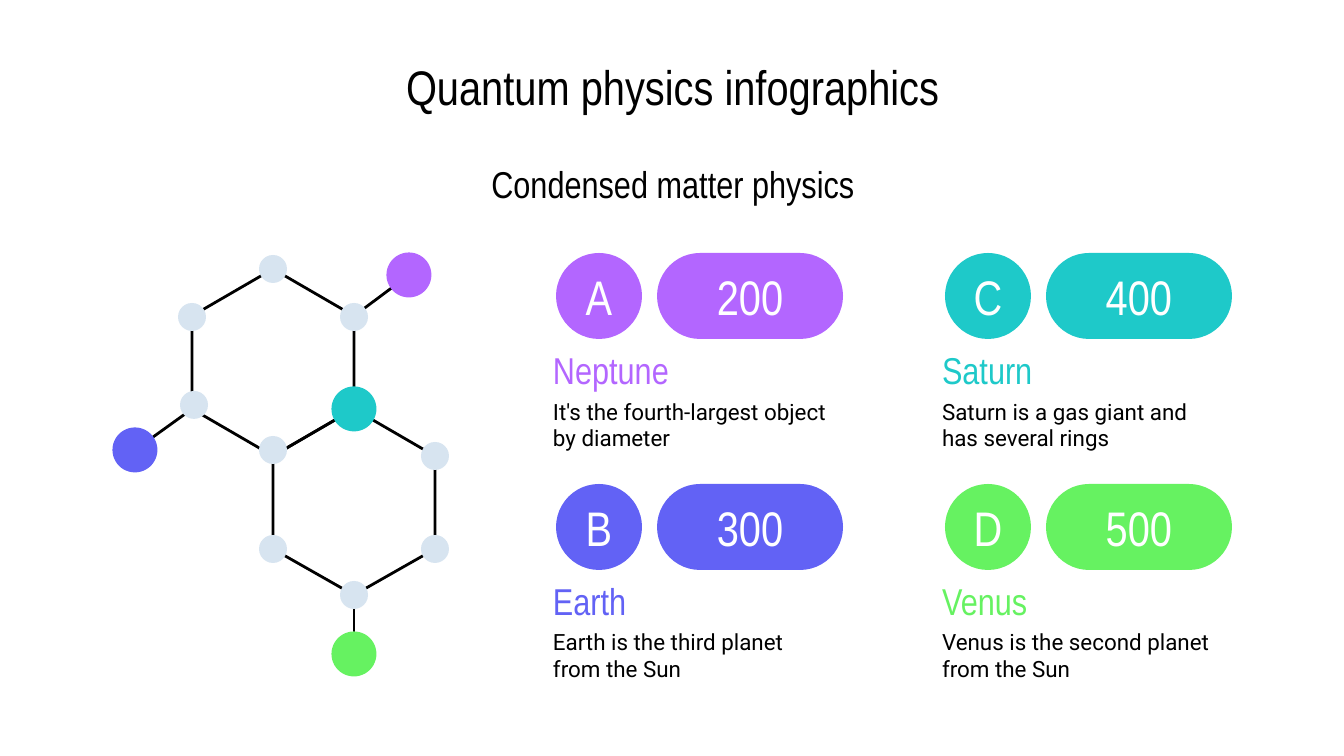
from dataclasses import dataclass

from pptx import Presentation
from pptx.dml.color import RGBColor
from pptx.enum.shapes import MSO_SHAPE
from pptx.enum.text import MSO_ANCHOR, MSO_AUTO_SIZE, PP_ALIGN
from pptx.util import Emu, Pt

PX = 914400 / 134.4


@dataclass(frozen=True)
class Theme:
    black: str = "000000"
    white: str = "FFFFFF"
    pale: str = "D7E4F0"
    purple: str = "B366FF"
    blue: str = "6262F5"
    teal: str = "1EC9C9"
    green: str = "66F261"
    heading_font: str = "Arial Narrow"
    body_font: str = "Roboto"
    title_size: int = 26
    heading_size: int = 20
    body_size: int = 12


THEME = Theme()


def write_text(shape, text, *, size=THEME.title_size, color=THEME.black,
               font=THEME.heading_font, align=PP_ALIGN.CENTER):
    frame = shape.text_frame
    frame.word_wrap = True
    frame.auto_size = MSO_AUTO_SIZE.NONE
    frame.vertical_anchor = MSO_ANCHOR.MIDDLE
    frame.margin_left = frame.margin_right = Emu(round(13 * PX))
    frame.margin_top = frame.margin_bottom = Emu(round(13 * PX))
    paragraph = frame.paragraphs[0]
    paragraph.alignment = align
    run = paragraph.add_run()
    run.text = text
    run.font.name = font
    run.font.size = Pt(size)
    run.font.color.rgb = RGBColor.from_string(color)


def add_filled(kind, left, top, width, height, color):
    shape = slide.shapes.add_shape(
        kind, *(Emu(round(value * PX)) for value in (left, top, width, height)))
    shape.shadow.inherit = False
    shape.fill.solid()
    shape.fill.fore_color.rgb = RGBColor.from_string(color)
    shape.line.fill.background()
    return shape


presentation = Presentation()
presentation.slide_width = Emu(round(1344 * PX))
presentation.slide_height = Emu(round(756 * PX))
slide = presentation.slides.add_slide(presentation.slide_layouts[5])

# Headings
title = slide.shapes.title
title.left, title.top, title.width, title.height = (
    Emu(round(value * PX)) for value in (296, 44, 754, 85))
write_text(title, "Quantum physics infographics")
subtitle = slide.shapes.add_textbox(
    *(Emu(round(value * PX)) for value in (296, 159, 754, 50)))
write_text(subtitle, "Condensed matter physics", size=THEME.heading_size)

# Molecule: two hexagonal rings and three side bonds
upper_ring = [(192, 316), (273, 269), (354, 316), (354, 409), (273, 456), (192, 409)]
lower_ring = [(273, 456), (354, 409), (435, 456), (435, 549), (354, 595), (273, 549)]
side_bonds = [
    [(354, 316), (409, 275)],
    [(192, 409), (135, 450)],
    [(354, 595), (354, 649)],
]
for points in [upper_ring, lower_ring, *side_bonds]:
    builder = slide.shapes.build_freeform(*points[0], scale=PX)
    builder.add_line_segments(points[1:], close=len(points) > 2)
    bonds = builder.convert_to_shape()
    bonds.shadow.inherit = False
    bonds.fill.background()
    bonds.line.color.rgb = RGBColor.from_string(THEME.black)
    bonds.line.width = Pt(1.5)

small_atoms = [
    (273, 269), (354, 317), (192, 317), (194, 405), (354, 595),
    (273, 549), (273, 450), (435, 549), (435, 456),
]
large_atoms = [
    (354, 409, THEME.teal), (409, 275, THEME.purple),
    (135, 450, THEME.blue), (354, 654, THEME.green),
]
atoms = [(x, y, 28, THEME.pale) for x, y in small_atoms]
atoms += [(x, y, 45, color) for x, y, color in large_atoms]
for x, y, diameter, color in atoms:
    add_filled(MSO_SHAPE.OVAL, x - diameter / 2, y - diameter / 2,
               diameter, diameter, color)

# Cards: filled column by column
cards = [
    ("A", "200", "Neptune", "It's the fourth-largest object by diameter", THEME.purple),
    ("B", "300", "Earth", "Earth is the third planet from the Sun", THEME.blue),
    ("C", "400", "Saturn", "Saturn is a gas giant and has several rings", THEME.teal),
    ("D", "500", "Venus", "Venus is the second planet from the Sun", THEME.green),
]
for index, (letter, number, planet, description, color) in enumerate(cards):
    column, row = divmod(index, 2)
    left = 540 + column * 389
    top = 253 + row * 231

    badge = add_filled(MSO_SHAPE.OVAL, left + 16, top, 86, 86, color)
    write_text(badge, letter, color=THEME.white)
    pill = add_filled(MSO_SHAPE.ROUNDED_RECTANGLE, left + 117, top, 186, 86, color)
    pill.adjustments[0] = 0.5
    write_text(pill, number, color=THEME.white)

    name_box = slide.shapes.add_textbox(
        *(Emu(round(value * PX)) for value in (left, top + 92, 302, 50)))
    write_text(name_box, planet, size=THEME.heading_size, color=color,
               align=PP_ALIGN.LEFT)
    description_box = slide.shapes.add_textbox(
        *(Emu(round(value * PX)) for value in (left, top + 134, 302, 75)))
    write_text(description_box, description, size=THEME.body_size,
               font=THEME.body_font, align=PP_ALIGN.LEFT)

presentation.save("out.pptx")
